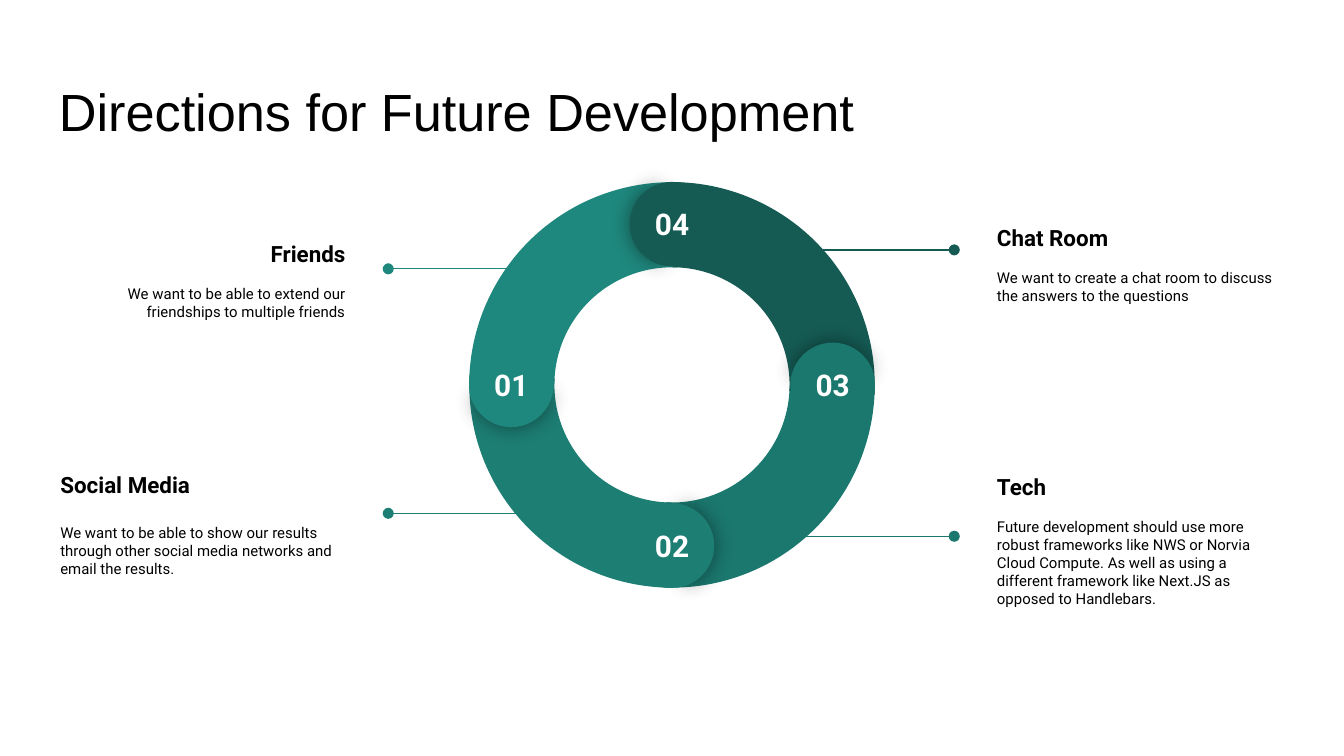
from math import cos, radians, sin

from lxml import etree
from pptx import Presentation
from pptx.dml.color import RGBColor
from pptx.enum.shapes import MSO_CONNECTOR, MSO_SHAPE
from pptx.enum.text import MSO_ANCHOR, PP_ALIGN
from pptx.oxml.ns import qn
from pptx.util import Pt

ARC, PIE = MSO_SHAPE.BLOCK_ARC, MSO_SHAPE.PIE
STRAIGHT = MSO_CONNECTOR.STRAIGHT
TOP = MSO_ANCHOR.TOP
LEFT, CENTER, RIGHT = PP_ALIGN.LEFT, PP_ALIGN.CENTER, PP_ALIGN.RIGHT

BLACK = RGBColor(0x00, 0x00, 0x00)
WHITE = RGBColor(0xFF, 0xFF, 0xFF)
TEAL_01 = RGBColor(0x1F, 0x88, 0x7E)
TEAL_02 = RGBColor(0x1D, 0x7E, 0x74)
TEAL_03 = RGBColor(0x1B, 0x78, 0x6E)
TEAL_04 = RGBColor(0x15, 0x5B, 0x54)

RING_X, RING_Y, RING_SIZE = 360, 206.2, 217.2
CAP_ORBIT, CAP_SIZE = 86.1, 45.3
ARC_ADJUST = (126.22, 181.76, 0.21)
SHADED_CAP_ADJUST = (61.9, 149.96)
PLAIN_CAP_ADJUST = (40.28, 171.84)

# number, angle of the cap on the ring, colour
SEGMENTS = (
    ("01", 180, TEAL_01),
    ("02", 90, TEAL_02),
    ("03", 0, TEAL_03),
    ("04", 270, TEAL_04),
)

# heading, body, alignment, left, top, heading offset, gap
TOPICS = (
    ("Friends", "We want to be able to extend our friendships to multiple friends",
     RIGHT, 25.2, 92.2, 37.4, 9.4),
    ("Social Media", "We want to be able to show our results through other social "
     "media networks and email the results.", LEFT, 25.2, 222.5, 29.8, 14),
    ("Chat Room", "We want to create a chat room to discuss the answers to the questions",
     LEFT, 527, 83.5, 37, 9.4),
    ("Tech", "Future development should use more robust frameworks like NWS or Norvia "
     "Cloud Compute. As well as using a different framework like Next.JS as opposed "
     "to Handlebars.", LEFT, 527, 237.6, 16, 9.4),
)

# ring end, dot end, height, colour
LEADERS = (
    (290.2, 208, 144, TEAL_01),
    (311, 208, 275, TEAL_02),
    (410.4, 511.2, 133.9, TEAL_04),
    (410.4, 511.2, 287.3, TEAL_03),
)


def add_round_part(slide, preset, center, size, rotation, adjust, color):
    """Add a borderless square-framed ring part around a center point."""
    x, y = center
    part = slide.shapes.add_shape(
        preset, Pt(x - size / 2), Pt(y - size / 2), Pt(size), Pt(size))
    for index, value in enumerate(adjust):
        part.adjustments[index] = value
    part.rotation = rotation % 360
    part.fill.solid()
    part.fill.fore_color.rgb = color
    part.line.fill.background()
    part.shadow.inherit = False
    return part


def add_glow_shadow(part):
    """Give a shape a soft black shadow without offset."""
    effects = part._element.spPr.find(qn("a:effectLst"))
    shadow = etree.SubElement(effects, qn("a:outerShdw"),
                              blurRad=str(Pt(11.2)), dist="0", dir="0",
                              algn="ctr", rotWithShape="0")
    shade = etree.SubElement(shadow, qn("a:srgbClr"), val="000000")
    etree.SubElement(shade, qn("a:alpha"), val="43000")


def add_text(slide, left, top, width, height, lines, align, color,
             font="Roboto", top_inset=7.2, gap=0):
    """Add a text box whose lines are (text, size, bold), with a gap between them."""
    box = slide.shapes.add_textbox(Pt(left), Pt(top), Pt(width), Pt(height))
    frame = box.text_frame
    frame.word_wrap = True
    frame.vertical_anchor = TOP
    frame.margin_left = frame.margin_right = frame.margin_bottom = Pt(7.2)
    frame.margin_top = Pt(top_inset)
    for index, (text, size, bold) in enumerate(lines):
        paragraph = frame.add_paragraph() if index else frame.paragraphs[0]
        paragraph.text = text
        paragraph.alignment = align
        paragraph.font.name = font
        paragraph.font.size = Pt(size)
        paragraph.font.bold = bold
        paragraph.font.color.rgb = color
        if index:
            paragraph.space_before = Pt(gap)


def add_segment_cap(slide, number, angle, color):
    """Add the numbered round end of a ring segment."""
    x = RING_X + CAP_ORBIT * cos(radians(angle))
    y = RING_Y + CAP_ORBIT * sin(radians(angle))
    shaded = add_round_part(slide, PIE, (x, y), CAP_SIZE, angle + 90.7,
                            SHADED_CAP_ADJUST, color)
    add_glow_shadow(shaded)
    add_round_part(slide, PIE, (x, y), CAP_SIZE, angle + 270, PLAIN_CAP_ADJUST, color)
    add_text(slide, x - 19.8, y - 16.9, 39.6, 20.9, [(number, 16, True)], CENTER, WHITE)


def add_leader(slide, ring_x, dot_x, y, color):
    """Add a line from the ring to a dot beside a topic."""
    leader = slide.shapes.add_connector(STRAIGHT, Pt(ring_x), Pt(y), Pt(dot_x), Pt(y))
    leader.line.color.rgb = color
    leader.line.width = Pt(0.75)
    etree.SubElement(leader.line._get_or_add_ln(), qn("a:tailEnd"), type="oval")
    etree.SubElement(leader._element.spPr, qn("a:effectLst"))


def main():
    """Build the slide and save it."""
    deck = Presentation()
    deck.slide_width, deck.slide_height = Pt(720), Pt(405)
    slide = deck.slides.add_slide(deck.slide_layouts[6])
    for _, angle, color in SEGMENTS:
        add_round_part(slide, ARC, (RING_X, RING_Y), RING_SIZE, angle + 150,
                       ARC_ADJUST, color)
    for number, angle, color in SEGMENTS:
        add_segment_cap(slide, number, angle, color)
    for heading, body, align, left, top, offset, gap in TOPICS:
        add_text(slide, left, top, 167, 101.5, [(heading, 12, True), (body, 8, False)],
                 align, BLACK, top_inset=offset, gap=gap)
    for leader in LEADERS:
        add_leader(slide, *leader)
    add_text(slide, 24.5, 35.3, 671, 45.4,
             [("Directions for Future Development", 28, False)], LEFT, BLACK, font="Arial")
    deck.save("out.pptx")


if __name__ == "__main__":
    main()
